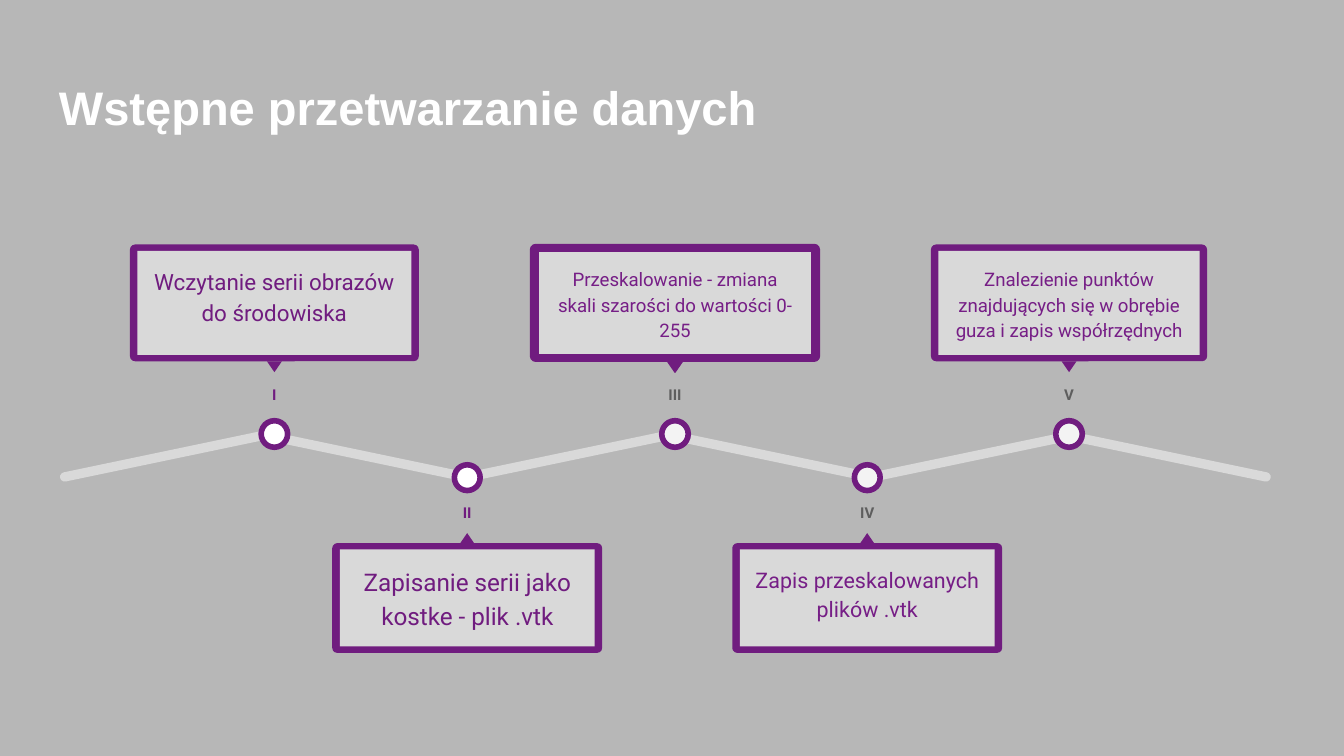
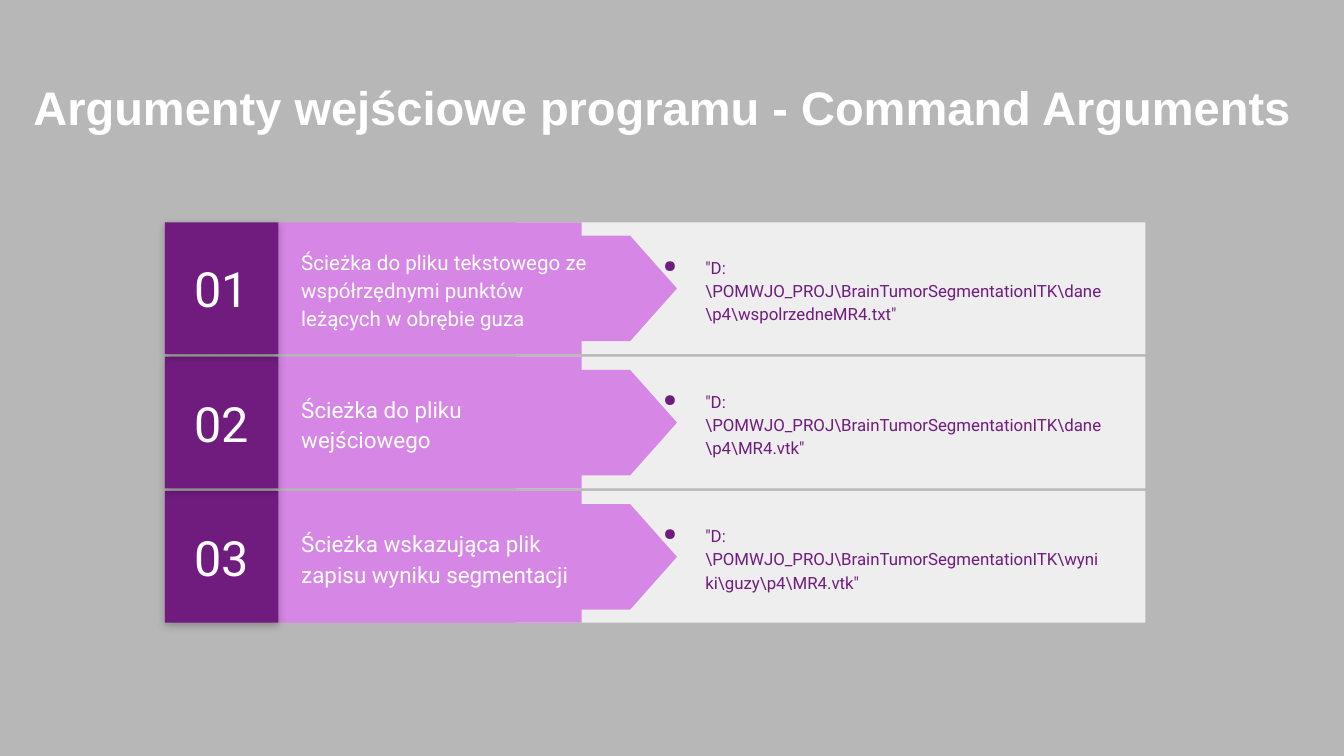
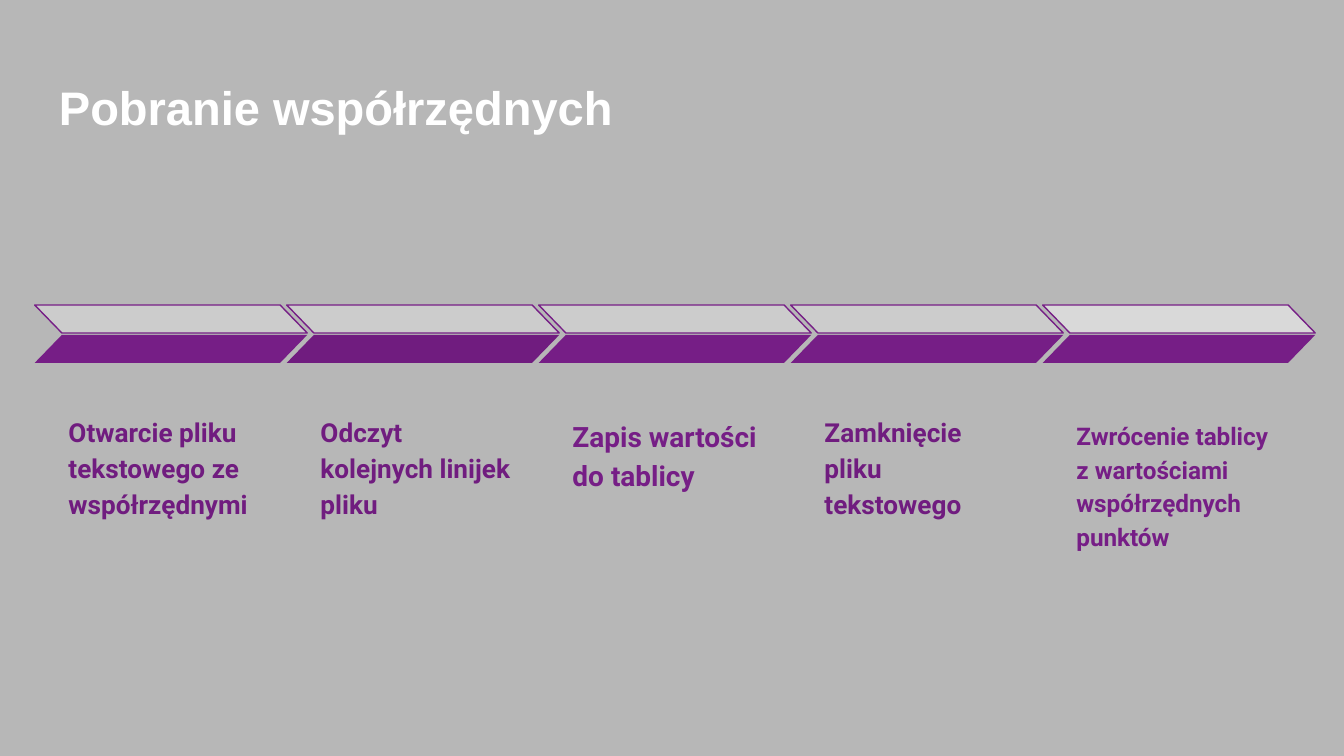
from pptx import Presentation
from pptx.dml.color import RGBColor
from pptx.enum.shapes import MSO_SHAPE
from pptx.enum.text import MSO_ANCHOR, PP_ALIGN
from pptx.oxml import parse_xml
from pptx.oxml.ns import nsdecls, qn
from pptx.util import Pt

RECTANGLE = MSO_SHAPE.RECTANGLE
ROUNDED = MSO_SHAPE.ROUNDED_RECTANGLE
ELLIPSE = MSO_SHAPE.OVAL
TRIANGLE = MSO_SHAPE.ISOSCELES_TRIANGLE
PARALLELOGRAM = MSO_SHAPE.PARALLELOGRAM
OFFPAGE = MSO_SHAPE.FLOWCHART_OFFPAGE_CONNECTOR
TOP, MIDDLE, BOTTOM = MSO_ANCHOR.TOP, MSO_ANCHOR.MIDDLE, MSO_ANCHOR.BOTTOM
LEFT, CENTER = PP_ALIGN.LEFT, PP_ALIGN.CENTER

COLORS = {
    "background": "B7B7B7", "white": "FFFFFF", "purple": "701C7F",
    "violet": "761E86", "pink": "D686E4", "gray": "5E5E5E",
    "track": "D9D9D9", "silver": "CCCCCC", "panel": "EEEEEE", "pearl": "F3F3F3",
}


def color(name):
    """Return the named palette colour."""
    return RGBColor.from_string(COLORS[name])


def add_block(shapes, kind, box, fill, line=None, line_width=0.75, adjustment=None, rotation=0):
    """Add a filled preset shape without a shadow."""
    shape = shapes.add_shape(kind, *[Pt(value) for value in box])
    shape.shadow.inherit = False
    shape.fill.solid()
    shape.fill.fore_color.rgb = color(fill)
    if line:
        shape.line.color.rgb = color(line)
        shape.line.width = Pt(line_width)
    else:
        shape.line.fill.background()
    if adjustment is not None:
        shape.adjustments[0] = adjustment
    shape.rotation = rotation
    return shape


def write(shape, text, size, ink, bold=False, font="Roboto", align=LEFT, anchor=TOP,
          spacing=1.15, after=0):
    """Write one formatted paragraph into a shape and return it."""
    frame = shape.text_frame
    frame.text = text
    frame.word_wrap = True
    frame.vertical_anchor = anchor
    frame.margin_left = frame.margin_right = Pt(7.2)
    frame.margin_top = frame.margin_bottom = Pt(7.2)
    paragraph = frame.paragraphs[0]
    paragraph.alignment = align
    paragraph.line_spacing = spacing
    paragraph.space_after = Pt(after)
    for run in paragraph.runs:
        run.font.name = font
        run.font.size = Pt(size)
        run.font.bold = bold
        run.font.color.rgb = color(ink)
    return paragraph


def add_text(shapes, box, text, size, ink, **style):
    """Add a text box and return its paragraph."""
    text_box = shapes.add_textbox(*[Pt(value) for value in box])
    return write(text_box, text, size, ink, **style)


def add_bullet(paragraph):
    """Give a paragraph a hanging purple bullet."""
    properties = paragraph._p.get_or_add_pPr()
    properties.set("marL", str(Pt(36)))
    properties.set("indent", str(-Pt(22.5)))
    for xml in (f'<a:buClr {nsdecls("a")}><a:srgbClr val="{COLORS["purple"]}"/></a:buClr>',
                f'<a:buChar {nsdecls("a")} char="●"/>'):
        properties.append(parse_xml(xml))


def add_shadow(shape):
    """Cast a soft black shadow below a shape."""
    effects = shape._element.spPr.find(qn("a:effectLst"))
    effects.append(parse_xml(
        f'<a:outerShdw {nsdecls("a")} blurRad="{Pt(4.5)}" dist="{Pt(1.5)}" dir="5400000" '
        'algn="bl" rotWithShape="0"><a:srgbClr val="000000"><a:alpha val="25000"/>'
        '</a:srgbClr></a:outerShdw>'))


def add_titled_slide(presentation, title, left=24.5, width=671):
    """Add a gray slide with a bold white title."""
    slide = presentation.slides.add_slide(presentation.slide_layouts[6])
    slide.background.fill.solid()
    slide.background.fill.fore_color.rgb = color("background")
    add_text(slide.shapes, (left, 35, width, 45), title, 25.2, "white",
             bold=True, font="Arial", spacing=1)
    return slide


def add_milestone(slide, numeral, text, size, center, width, above, text_ink, numeral_ink,
                  dot_fill, outline):
    """Add a framed card with its pointer, numeral and timeline dot."""
    if above:
        card_top, card_height, pointer_top, numeral_top = 131, 62.6, 193.6, 199.4
        dot_top, dot_size, turn = 225.4, 14.2, 180
    else:
        card_top, card_height, pointer_top, numeral_top = 291, 58.8, 285.6, 262.9
        dot_top, dot_size, turn = 249, 13.8, 0
    shapes = slide.shapes.add_group_shape().shapes
    left = center - width / 2
    add_block(shapes, ELLIPSE, (center - dot_size / 2, dot_top, dot_size, dot_size),
              dot_fill, "purple", 3)
    add_text(shapes, (center - 30, numeral_top, 60, 24), numeral, 8, numeral_ink,
             bold=True, align=CENTER, after=16)
    add_block(shapes, ROUNDED, (left, card_top, width, card_height), "purple", outline,
              adjustment=0.045)
    add_block(shapes, TRIANGLE, (center - 4, pointer_top, 8, 5.8), "purple", outline,
              rotation=turn)
    face = add_block(shapes, RECTANGLE, (left + 4, card_top + 3.4, width - 8, card_height - 6.8),
                     "track", outline)
    write(face, text, size, text_ink, align=CENTER, after=16)


def add_argument(slide, number, label, label_size, value, top):
    """Add a numbered row with an arrow label and an example value."""
    height, arrow_length, arrow_height = 70.6, 125.4, 70.6
    shapes = slide.shapes.add_group_shape().shapes
    add_block(shapes, RECTANGLE, (276.3, top, 337.3, height), "panel")
    add_block(shapes, RECTANGLE, (149.1, top, 162.6, height), "pink")
    arrow_scale = 0.8
    arrow_width = arrow_height * arrow_scale
    add_block(shapes, OFFPAGE,
              (300 - arrow_width / 2, top + (height - arrow_length) / 2, arrow_width, arrow_length),
              "pink", rotation=270)
    add_text(shapes, (154.3, top + 8, 171.4, 54.6), label, label_size, "white", anchor=MIDDLE)
    tile = add_block(shapes, RECTANGLE, (88.3, top, 60.8, height), "purple")
    add_shadow(tile)
    write(tile, number, 26, "white", align=CENTER, anchor=MIDDLE, spacing=1)
    add_bullet(add_text(shapes, (334.8, top + 0.4, 262, height), value, 9, "purple",
                        anchor=MIDDLE))


def add_step(slide, text, size, ink, text_height, left, top_fill, bottom_fill):
    """Add a folded chevron and the step text below it."""
    shapes = slide.shapes.add_group_shape().shapes
    upper = add_block(shapes, PARALLELOGRAM, (left, 163.4, 146, 15), top_fill, "violet",
                      adjustment=0.97)
    upper._element.spPr.get_or_add_xfrm().set("flipH", "1")
    add_block(shapes, PARALLELOGRAM, (left, 179.4, 146, 15), bottom_fill, adjustment=0.97)
    add_text(shapes, (left + 11, 204.5, 120, text_height), text, size, ink,
             bold=True, anchor=BOTTOM)


def build_preprocessing(presentation):
    """Build the zigzag timeline of preprocessing steps."""
    slide = add_titled_slide(presentation, "Wstępne przetwarzanie danych")
    for index, left in enumerate((31, 139.2, 247.6, 355.8, 464.2, 568.1)):
        add_block(slide.shapes, ROUNDED, (left, 241.9, 113.8, 5), "track", adjustment=0.5,
                  rotation=11.8 if index % 2 else 348.2)
    milestones = (
        ("I", "Wczytanie serii obrazów do środowiska", 12, 147, 154.8,
         "purple", "purple", "white", None),
        ("II", "Zapisanie serii jako kostke - plik .vtk", 13, 250.3, 144.6,
         "purple", "purple", "white", None),
        ("III", "Przeskalowanie - zmiana skali szarości do wartości 0-255", 10, 361.6, 154.8,
         "violet", "gray", "pearl", "purple"),
        ("IV", "Zapis przeskalowanych plików .vtk", 11.5, 464.6, 144.6,
         "violet", "gray", "pearl", None),
        ("V", "Znalezienie punktów znajdujących się w obrębie guza i zapis współrzędnych",
         10, 572.7, 148, "violet", "gray", "pearl", None),
    )
    for index, (numeral, text, size, center, width, *inks) in enumerate(milestones):
        add_milestone(slide, numeral, text, size, center, width, index % 2 == 0, *inks)


def build_arguments(presentation):
    """Build the list of command arguments, lowest row first."""
    slide = add_titled_slide(presentation, "Argumenty wejściowe programu - Command Arguments",
                             10.8, 695)
    folder = "\"D:\\POMWJO_PROJ\\BrainTumorSegmentationITK\\"
    arguments = (
        ("Ścieżka do pliku tekstowego ze współrzędnymi punktów leżących w obrębie guza", 11,
         "dane\\p4\\wspolrzedneMR4.txt\""),
        ("Ścieżka do pliku wejściowego", 12, "dane\\p4\\MR4.vtk\""),
        ("Ścieżka wskazująca plik zapisu wyniku segmentacji", 12,
         "wyniki\\guzy\\p4\\MR4.vtk\""),
    )
    for index, (label, size, file) in reversed(list(enumerate(arguments))):
        add_argument(slide, f"{index + 1:02}", label, size, folder + file, 119.2 + 71.9 * index)


def build_coordinates(presentation):
    """Build the chevron process of reading coordinates."""
    slide = add_titled_slide(presentation, "Pobranie współrzędnych")
    steps = (
        ("Otwarcie pliku tekstowego ze współrzędnymi", 14, "purple", 81.4),
        ("Odczyt kolejnych linijek pliku", 14, "purple", 81.4),
        ("Zapis wartości do tablicy", 15, "violet", 66.2),
        ("Zamknięcie pliku tekstowego", 14, "purple", 81.4),
        ("Zwrócenie tablicy z wartościami współrzędnych punktów", 13, "violet", 97.9),
    )
    for index, step in enumerate(steps):
        add_step(slide, *step, 18.6 + 135 * index,
                 "track" if index == 4 else "silver", "purple" if index == 1 else "violet")


def main():
    """Build and save the presentation."""
    presentation = Presentation()
    presentation.slide_width = Pt(720)
    presentation.slide_height = Pt(405)
    build_preprocessing(presentation)
    build_arguments(presentation)
    build_coordinates(presentation)
    presentation.save("out.pptx")


if __name__ == "__main__":
    main()
